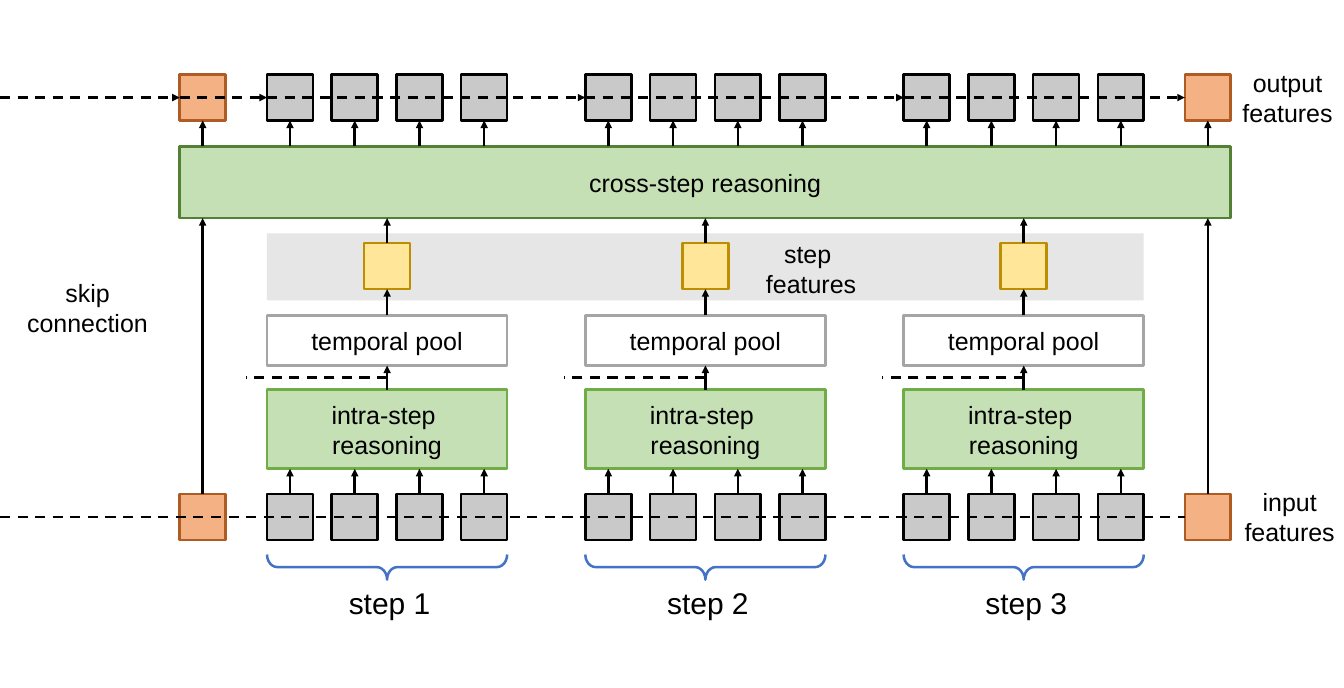
"""Builds the step reasoning diagram slide."""
from itertools import pairwise

from lxml import etree
from pptx import Presentation
from pptx.dml.color import RGBColor
from pptx.enum.dml import MSO_LINE
from pptx.enum.shapes import MSO_CONNECTOR, MSO_SHAPE
from pptx.enum.text import MSO_ANCHOR, PP_ALIGN
from pptx.oxml.ns import qn
from pptx.util import Cm, Pt

RECT, BRACE = MSO_SHAPE.RECTANGLE, MSO_SHAPE.LEFT_BRACE
STRAIGHT = MSO_CONNECTOR.STRAIGHT
DASH = MSO_LINE.DASH
MIDDLE, TOP = MSO_ANCHOR.MIDDLE, MSO_ANCHOR.TOP
CENTER = PP_ALIGN.CENTER

BLACK, BLUE, BAND = "000000", "4472C4", "E7E6E6"
GREY, ORANGE = ("C9C9C9", BLACK), ("F4B183", "AF5C24")
YELLOW, WHITE = ("FFE699", "BD8E00"), ("FFFFFF", "A5A5A5")
GREEN, DARK_GREEN = ("C5E0B4", "70AD47"), ("C5E0B4", "538035")

CELL, CELL_PITCH, CELL_COUNT = 1.3, 1.83, 4
STEP_LEFT, STEP_PITCH, STEP_COUNT = 7.55, 9, 3
STEP_WIDTH = CELL_PITCH * (CELL_COUNT - 1) + CELL
FIRST, LAST = 5.08, 33.5
OUTPUT_TOP, INPUT_TOP = 2.11, 13.97
CROSS_TOP, CROSS_BOTTOM = 4.14, 6.17
FEATURE_TOP = 6.88
POOL_TOP, POOL_BOTTOM = 8.92, 10.34
INTRA_TOP, INTRA_BOTTOM = 11.02, 13.26
BRACE_MIDDLE, BRACE_DEPTH = 16.04, 0.71


def rgb(color):
    """Return the colour of a hex string."""
    return RGBColor.from_string(color)


def set_values(obj, values):
    """Set each attribute named in values."""
    for name, value in values.items():
        setattr(obj, name, value)


def write(sp, lines, size, anchor):
    """Write centred lines, one paragraph each."""
    tf = sp.text_frame
    set_values(tf, {"word_wrap": True, "vertical_anchor": anchor})
    for i, line in enumerate(lines):
        p = tf.add_paragraph() if i else tf.paragraphs[0]
        p.alignment = CENTER
        r = p.add_run()
        r.text = line
        set_values(r.font, {"name": "Arial", "size": Pt(size)})
        r.font.color.rgb = rgb(BLACK)


def add_box(s, x, y, w, h, colors, lines=()):
    """Add a rectangle with a fill, an optional outline and text."""
    fill, outline = colors
    sp = s.shapes.add_shape(RECT, Cm(x), Cm(y), Cm(w), Cm(h))
    sp.shadow.inherit = False
    sp.fill.solid()
    sp.fill.fore_color.rgb = rgb(fill)
    if outline:
        sp.line.color.rgb = rgb(outline)
        sp.line.width = Pt(2)
    else:
        sp.line.fill.background()
    if lines:
        write(sp, lines, 20, MIDDLE)


def add_cell(s, x, y, colors):
    """Add one square feature cell."""
    add_box(s, x, y, CELL, CELL, colors)


def add_label(s, x, y, w, h, lines, size=20):
    """Add a free text label."""
    sp = s.shapes.add_textbox(Cm(x), Cm(y), Cm(w), Cm(h))
    write(sp, lines, size, TOP)


def add_line(s, start, end, arrow=True, dash=None):
    """Add a straight line, with an arrowhead at its end if wanted."""
    cx = s.shapes.add_connector(STRAIGHT, *map(Cm, start + end))
    set_values(cx.line, {"width": Pt(2), "dash_style": dash})
    cx.line.color.rgb = rgb(BLACK)
    if arrow:
        etree.SubElement(cx.line._get_or_add_ln(), qn("a:tailEnd"), type="triangle")
    etree.SubElement(cx._element.spPr, qn("a:effectLst"))


def add_up_arrow(s, x, bottom, top):
    """Add an arrow that points up."""
    add_line(s, (x, bottom), (x, top))


def add_brace(s, middle):
    """Add a brace that opens upwards below a step."""
    sp = s.shapes.add_shape(
        BRACE, Cm(middle - BRACE_DEPTH / 2), Cm(BRACE_MIDDLE - STEP_WIDTH / 2),
        Cm(BRACE_DEPTH), Cm(STEP_WIDTH))
    sp.rotation = 270
    sp.adjustments[0] = 0.41
    sp.shadow.inherit = False
    sp.fill.background()
    sp.line.color.rgb = rgb(BLUE)
    sp.line.width = Pt(2)


def add_step(s, left, name):
    """Add one step from its input cells up to its output cells."""
    middle = left + STEP_WIDTH / 2
    add_brace(s, middle)
    add_label(s, middle - 1.57, 16.41, 3.28, 1.27, [name], 24)
    add_box(s, left, INTRA_TOP, STEP_WIDTH, INTRA_BOTTOM - INTRA_TOP, GREEN,
            ["intra-step ", "reasoning"])
    add_box(s, left, POOL_TOP, STEP_WIDTH, POOL_BOTTOM - POOL_TOP, WHITE,
            ["temporal pool"])
    add_cell(s, middle - CELL / 2, FEATURE_TOP, YELLOW)
    add_up_arrow(s, middle, INTRA_TOP, POOL_BOTTOM)
    add_up_arrow(s, middle, POOL_TOP, FEATURE_TOP + CELL)
    add_up_arrow(s, middle, FEATURE_TOP, CROSS_BOTTOM)
    for i in range(CELL_COUNT):
        x = left + i * CELL_PITCH
        add_cell(s, x, INPUT_TOP, GREY)
        add_up_arrow(s, x + CELL / 2, INPUT_TOP, INTRA_BOTTOM)
        add_cell(s, x, OUTPUT_TOP, GREY)
        add_up_arrow(s, x + CELL / 2, CROSS_TOP, OUTPUT_TOP + CELL)
    add_line(s, (middle, 10.68), (middle - 4, 10.68), False, DASH)


def add_skip(s, x):
    """Add an end cell pair joined by a skip connection."""
    middle = x + CELL / 2
    add_cell(s, x, INPUT_TOP, ORANGE)
    add_cell(s, x, OUTPUT_TOP, ORANGE)
    add_up_arrow(s, middle, INPUT_TOP, CROSS_BOTTOM)
    add_up_arrow(s, middle, CROSS_TOP, OUTPUT_TOP + CELL)


def main():
    """Build and save the slide."""
    prs = Presentation()
    set_values(prs, {"slide_width": Cm(38), "slide_height": Cm(19.46)})
    s = prs.slides.add_slide(prs.slide_layouts[6])
    lefts = [STEP_LEFT + i * STEP_PITCH for i in range(STEP_COUNT)]

    add_box(s, STEP_LEFT, 6.6, lefts[-1] + STEP_WIDTH - STEP_LEFT, 1.9, (BAND, None))
    add_box(s, FIRST, CROSS_TOP, LAST + CELL - FIRST, CROSS_BOTTOM - CROSS_TOP,
            DARK_GREEN, ["cross-step reasoning"])
    for number, left in enumerate(lefts, 1):
        add_step(s, left, f"step {number}")
    for x in (FIRST, LAST):
        add_skip(s, x)

    output_middle, input_middle = OUTPUT_TOP + CELL / 2, INPUT_TOP + CELL / 2
    for start, end in pairwise([0, FIRST, *lefts, LAST]):
        add_line(s, (start, output_middle), (end, output_middle), dash=DASH)
    add_line(s, (0, input_middle), (LAST, input_middle), False, DASH)

    for x, y, w, lines in (
            (20.09, 6.63, 5.69, ["step ", "features"]),
            (33.93, 1.78, 4.95, ["output", "features"]),
            (33.99, 13.64, 4.95, ["input", "features"]),
            (0, 7.72, 4.95, ["skip", "connection"])):
        add_label(s, x, y, w, 1.96, lines)
    prs.save("out.pptx")


main()
